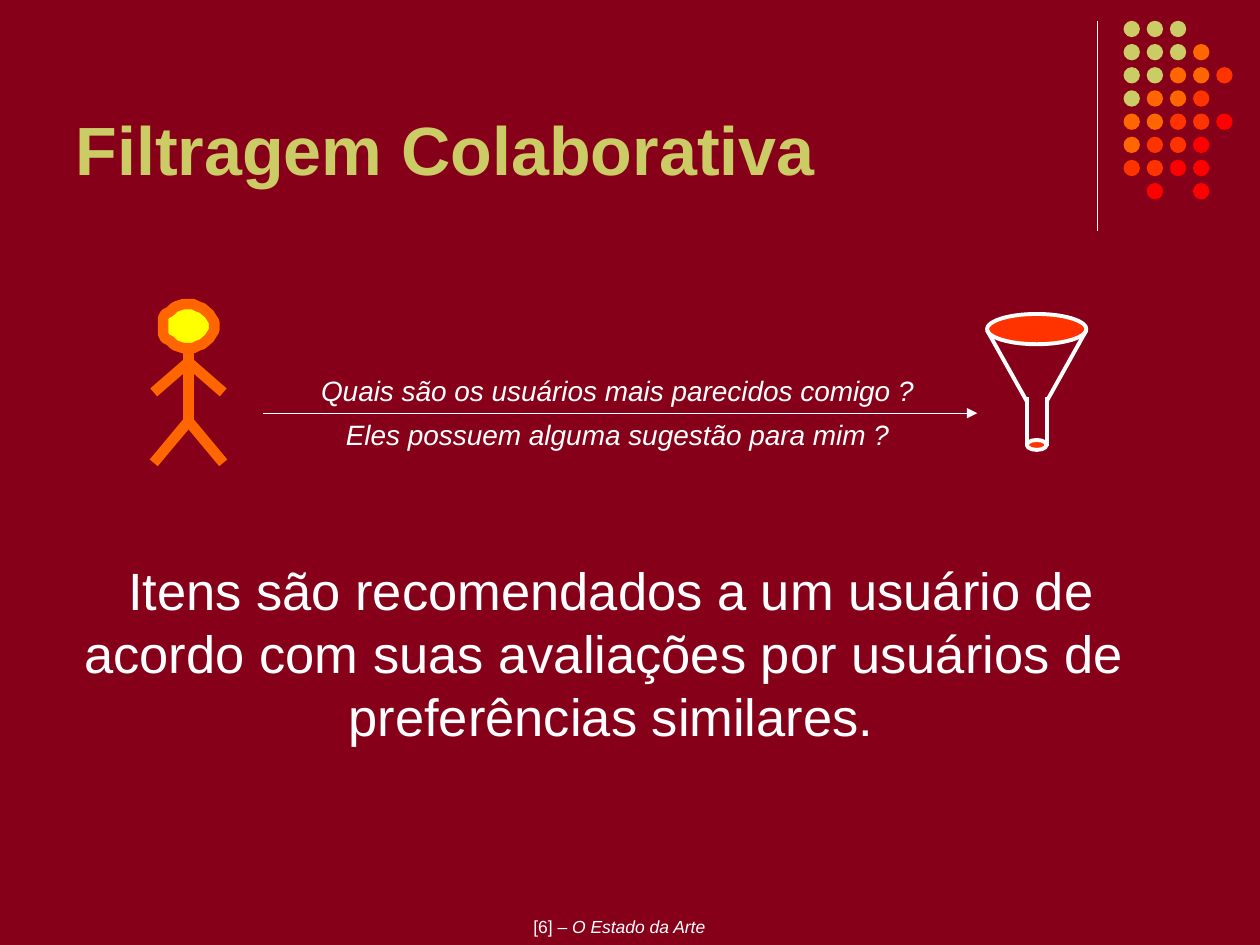
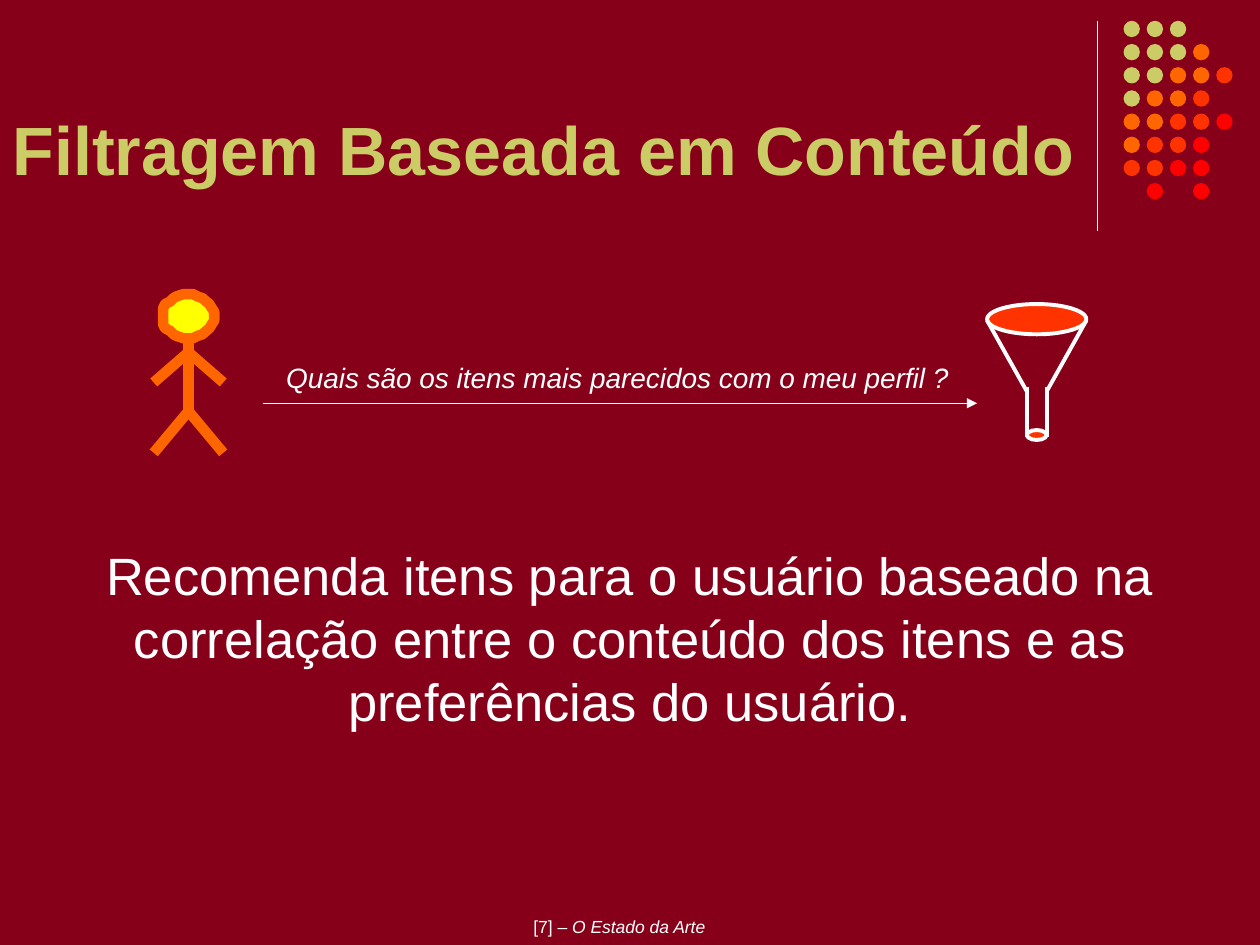
from typing import NamedTuple

from lxml.etree import SubElement
from pptx import Presentation
from pptx.dml.color import RGBColor
from pptx.enum.shapes import MSO_CONNECTOR, MSO_SHAPE
from pptx.enum.text import MSO_ANCHOR as Anchor
from pptx.enum.text import MSO_AUTO_SIZE as AutoSize
from pptx.enum.text import PP_ALIGN as Align
from pptx.oxml.ns import qn
from pptx.slide import Slide
from pptx.text.text import TextFrame
from pptx.util import Cm, Pt

FONT = "Arial"
BACKGROUND, WHITE = "86001A", "FFFFFF"
LIME, ORANGE, VERMILION, RED, YELLOW = "CCCC66", "FF6600", "FF3300", "FF0000", "FFFF00"

# Corner ornament: one letter per dot
DOT_COLORS = {"L": LIME, "O": ORANGE, "V": VERMILION, "R": RED}
DOT_ROWS = ["LLL", "LLLO", "LLOOV", "LOOV", "OOVVR", "OVVR", "VVRR", " R R"]
DOT_LEFT, DOT_TOP, DOT_SIZE = 22.65, 0.42, 0.33
DOT_PITCH = 3.27 / 7

# Drawing, in cm; heights are measured from the top of the head
PERSON_X, LIMB_REACH, HEAD_HEIGHT = 3.8, 0.7, 0.89
UPPER_HEAD = [
    (-0.51, 0.44), (-0.51, 0.36), (-0.51, 0.28), (-0.47, 0.2), (-0.37, 0.15),
    (-0.3, 0.08), (-0.25, 0.05), (-0.1, 0), (0, 0), (0.09, 0), (0.19, 0.05),
    (0.28, 0.08), (0.36, 0.15), (0.42, 0.2), (0.47, 0.28), (0.52, 0.36), (0.52, 0.44),
]
FUNNEL_X, FUNNEL_RADIUS, SPOUT_RADIUS = 20.9, 1.0, 0.2


class Box(NamedTuple):
    left: float
    top: float
    width: float
    height: float

    def lengths(self) -> list[Cm]:
        return [Cm(value) for value in self]


class Segment(NamedTuple):
    x1: float
    y1: float
    x2: float
    y2: float


class FilterSlide(NamedTuple):
    number: int
    title: str
    title_box: Box
    drawing_top: float
    questions: list[str]
    questions_box: Box
    question_spacing: float
    summary: str
    summary_box: Box


FILTER_SLIDES = [
    FilterSlide(
        6, "Filtragem Colaborativa", Box(1.27, 0.33, 20.95, 3.62), 6.13,
        ["Quais são os usuários mais parecidos comigo ?",
         "Eles possuem alguma sugestão para mim ?"],
        Box(5.75, 7.21, 13.4, 2.03), 1.3,
        "Itens são recomendados a um usuário de acordo com suas avaliações "
        "por usuários de \vpreferências similares.",
        Box(0.89, 11.13, 22.86, 5.59),
    ),
    FilterSlide(
        7, "Filtragem Baseada em Conteúdo", Box(0, 0.33, 22.22, 3.62), 5.93,
        ["Quais são os itens mais parecidos com o meu perfil ?"],
        Box(5.41, 7.14, 14.08, 0.94), 1.0,
        "Recomenda itens para o usuário baseado na correlação entre o conteúdo "
        "dos itens e as preferências do usuário.",
        Box(1.27, 10.82, 22.86, 6.1),
    ),
]


def color(value: str) -> RGBColor:
    return RGBColor.from_string(value)


def paint(shape, fill: str, line: str | None = None, width: float = 0) -> None:
    shape.shadow.inherit = False
    shape.fill.solid()
    shape.fill.fore_color.rgb = color(fill)
    if line is None:
        shape.line.fill.background()
    else:
        shape.line.color.rgb = color(line)
        shape.line.width = Pt(width)


def add_ellipse(slide: Slide, box: Box, fill: str, line: str | None = None, width: float = 0) -> None:
    paint(slide.shapes.add_shape(MSO_SHAPE.OVAL, *box.lengths()), fill, line, width)


def add_line(slide: Slide, segment: Segment, line: str, width: float, arrow: bool = False) -> None:
    ends = [Cm(value) for value in segment]
    connector = slide.shapes.add_connector(MSO_CONNECTOR.STRAIGHT, *ends)
    connector.line.color.rgb = color(line)
    connector.line.width = Pt(width)
    properties = connector._element.spPr
    if arrow:
        SubElement(properties.find(qn("a:ln")), qn("a:tailEnd"), type="triangle")
    SubElement(properties, qn("a:effectLst"))


def format_text(frame: TextFrame, size: float, font_color: str = WHITE, align: Align = Align.CENTER,
                spacing: float = 1.0, bold: bool = False, italic: bool | None = None) -> None:
    for paragraph in frame.paragraphs:
        paragraph.alignment = align
        paragraph.line_spacing = spacing
        font = paragraph.font
        font.name, font.size, font.bold, font.italic = FONT, Pt(size), bold, italic
        font.color.rgb = color(font_color)


def add_text_box(slide: Slide, box: Box, wrap: bool = True) -> TextFrame:
    frame = slide.shapes.add_textbox(*box.lengths()).text_frame
    frame.word_wrap = wrap
    return frame


def add_ornament(slide: Slide) -> None:
    add_line(slide, Segment(22.12, 0.42, 22.12, 4.65), WHITE, 0.75)
    for row, letters in enumerate(DOT_ROWS):
        for column, letter in enumerate(letters):
            if letter in DOT_COLORS:
                box = Box(DOT_LEFT + column * DOT_PITCH, DOT_TOP + row * DOT_PITCH, DOT_SIZE, DOT_SIZE)
                add_ellipse(slide, box, DOT_COLORS[letter])


def add_title(slide: Slide, text: str, box: Box) -> None:
    title = slide.shapes.title
    title.left, title.top, title.width, title.height = box.lengths()
    frame = title.text_frame
    frame.text = text
    frame.auto_size = AutoSize.NONE
    frame.vertical_anchor = Anchor.BOTTOM
    format_text(frame, 39, LIME, Align.LEFT, bold=True)


def add_person(slide: Slide, top: float) -> None:
    # Head: the lower half mirrors the upper one
    lower_head = [(x, HEAD_HEIGHT - y) for x, y in reversed(UPPER_HEAD)]
    outline = [(Cm(PERSON_X + x), Cm(top + y)) for x, y in UPPER_HEAD + lower_head]
    builder = slide.shapes.build_freeform(*outline[0])
    builder.add_line_segments(outline[1:], close=True)
    paint(builder.convert_to_shape(), YELLOW, ORANGE, 6)
    # Trunk, arms and legs
    hip = top + 2.36
    limbs = [Segment(PERSON_X, top + HEAD_HEIGHT, PERSON_X, hip)]
    for side in (-1, 1):
        reach = PERSON_X + side * LIMB_REACH
        limbs.append(Segment(PERSON_X, hip, reach, top + 3.2))
        limbs.append(Segment(PERSON_X, top + 1.17, reach, top + 1.78))
    for limb in limbs:
        add_line(slide, limb, ORANGE, 6)


def add_funnel(slide: Slide, top: float) -> None:
    mouth = Box(FUNNEL_X - FUNNEL_RADIUS, top + 0.2, 2 * FUNNEL_RADIUS, 0.61)
    spout = Box(FUNNEL_X - SPOUT_RADIUS, top + 2.74, 2 * SPOUT_RADIUS, 0.2)
    add_ellipse(slide, mouth, VERMILION, WHITE, 2.25)
    for side in (-1, 1):
        rim, neck = FUNNEL_X + side * FUNNEL_RADIUS, FUNNEL_X + side * SPOUT_RADIUS
        add_line(slide, Segment(rim, top + 0.53, neck, top + 1.96), WHITE, 2.25)
        add_line(slide, Segment(neck, top + 1.88, neck, top + 2.87), WHITE, 2.25)
    add_ellipse(slide, spout, VERMILION, WHITE, 2.25)


def add_footer(slide: Slide, number: int) -> None:
    frame = add_text_box(slide, Box(8.46, 18.34, 8.05, 0.41))
    paragraph = frame.paragraphs[0]
    paragraph.add_run().text = f"[{number}] – "
    section = paragraph.add_run()
    section.text = "O Estado da Arte"
    section.font.italic = True
    format_text(frame, 10)


def add_filter_slide(presentation: Presentation, content: FilterSlide) -> None:
    slide = presentation.slides.add_slide(presentation.slide_layouts[5])
    add_ornament(slide)
    add_title(slide, content.title, content.title_box)

    # Person asking the filter
    add_person(slide, content.drawing_top)
    add_funnel(slide, content.drawing_top)
    arrow_y = content.drawing_top + 2.2
    add_line(slide, Segment(5.3, arrow_y, 19.7, arrow_y), WHITE, 0.75, arrow=True)
    questions = add_text_box(slide, content.questions_box, wrap=False)
    questions.text = "\n".join(content.questions)
    format_text(questions, 16, spacing=content.question_spacing, italic=True)

    # Summary and footer
    summary = add_text_box(slide, content.summary_box)
    summary.text = content.summary
    format_text(summary, 30)
    add_footer(slide, content.number)


def main() -> None:
    presentation = Presentation()
    presentation.slide_width, presentation.slide_height = Cm(25.4), Cm(19.05)
    background = presentation.slide_master.background.fill
    background.solid()
    background.fore_color.rgb = color(BACKGROUND)
    for content in FILTER_SLIDES:
        add_filter_slide(presentation, content)
    presentation.save("out.pptx")


if __name__ == "__main__":
    main()
